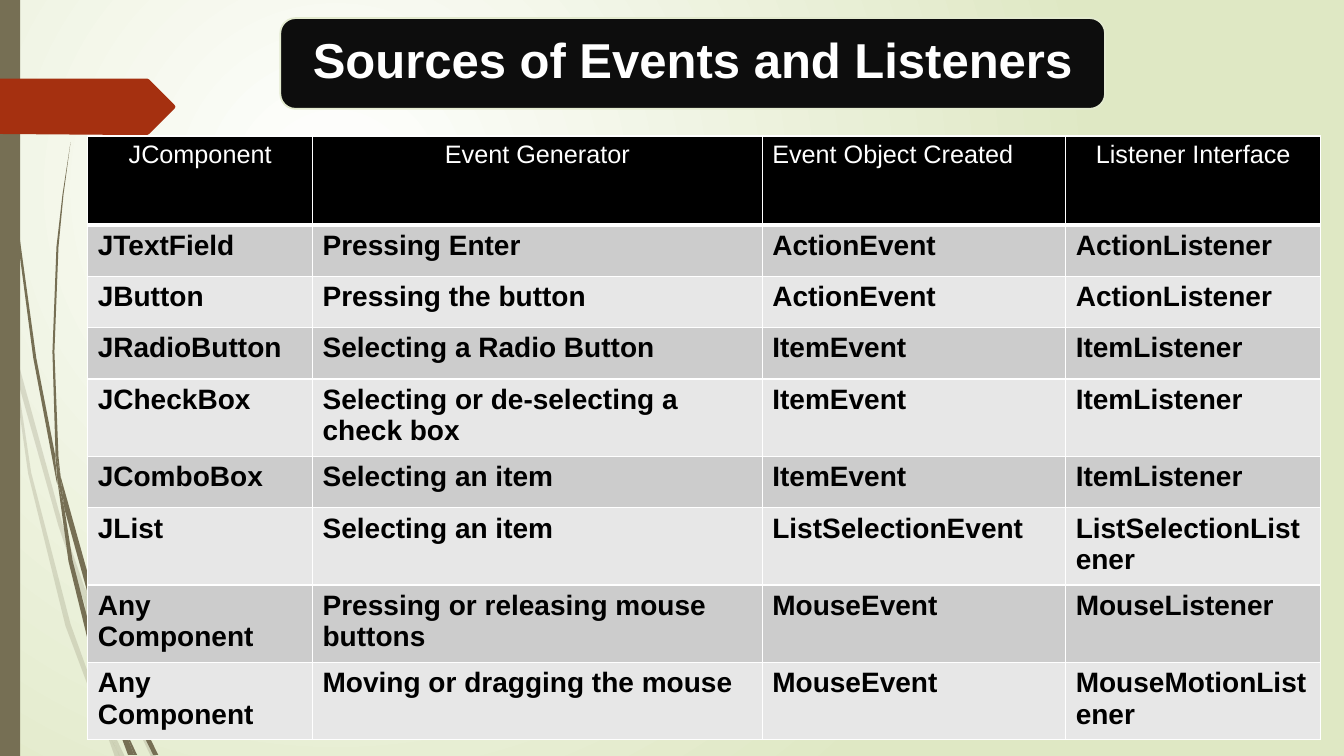
from lxml.etree import SubElement
from pptx import Presentation
from pptx.dml.color import RGBColor
from pptx.enum.shapes import MSO_SHAPE as SHAPE
from pptx.enum.text import MSO_ANCHOR as ANCHOR, PP_ALIGN as ALIGN
from pptx.oxml.ns import qn
from pptx.util import Inches, Pt

WHITE = RGBColor(0xFF, 0xFF, 0xFF)
BLACK = RGBColor(0x00, 0x00, 0x00)
PALE_GREEN = RGBColor(0xDF, 0xE8, 0xC4)
OLIVE = RGBColor(0x76, 0x6F, 0x54)
RUST = RGBColor(0xA5, 0x30, 0x10)
TITLE_FILL = RGBColor(0x0D, 0x0D, 0x0D)
TITLE_LINE = RGBColor(0xE3, 0xEA, 0xCF)
DARK_BAND = RGBColor(0xCC, 0xCC, 0xCC)
LIGHT_BAND = RGBColor(0xE7, 0xE7, 0xE7)

PALE_WISPS = [
    [(0.11, 3.5), (0.09, 3.22), (0, 2.82), (0, 2.99), (0.1, 3.44)],
    [(0.58, 5.22), (0.84, 5.99), (0.85, 5.86), (0.62, 5.2), (0.14, 3.45), (0.17, 3.76)],
    [(0.92, 6.07), (0.88, 5.96), (0.88, 6.1), (1.23, 6.94), (1.5, 7.51), (1.55, 7.51),
     (1.27, 6.92)],
    [(1.19, 7.51), (1.24, 7.51), (1.05, 7.11)],
    [(0.93, 6.83), (0.7, 6.19), (0.31, 4.69), (0.17, 3.76), (0.11, 3.5), (0.28, 4.7),
     (0.65, 6.21), (0.92, 6.93), (1.01, 7.14), (0.99, 7.07)],
    [(0.84, 5.99), (0.87, 6.46), (0.93, 6.83), (0.96, 6.92), (1.05, 7.11), (1.03, 7.06),
     (0.91, 6.46), (0.88, 6.1), (0.88, 6.08)],
    [(0.88, 5.84), (1.1, 4.62), (1.6, 3.49), (2.29, 2.45), (2.68, 1.98), (2.9, 1.75),
     (3.12, 1.54), (3.12, 1.53), (2.89, 1.75), (2.68, 1.97), (2.28, 2.44), (1.58, 3.48),
     (1.07, 4.61), (0.85, 5.84), (0.85, 5.86), (0.88, 5.96)],
    [(1.01, 7.14), (1.14, 7.51), (1.19, 7.51)],
    [(0.88, 6.08), (0.88, 6.1), (0.88, 5.96), (0.85, 5.86), (0.84, 5.99)],
    [(0.96, 6.92), (0.93, 6.83), (0.99, 7.07), (1.01, 7.14), (1.19, 7.51), (1.05, 7.11)],
]
DARK_WISPS = [
    [(0.07, 1.1), (0.17, 2.33), (0.33, 3.55), (0.56, 4.77), (0.57, 4.81), (0.55, 4.57),
     (0.55, 4.53), (0.36, 3.55), (0.19, 2.32), (0.08, 1.09), (0.05, 0.48), (0.04, 0),
     (0.03, 0), (0.04, 0.48)],
    [(0.88, 5.92), (1.06, 6.45), (1.06, 6.33), (1.06, 6.31), (0.93, 5.9), (0.6, 4.72),
     (0.64, 5.05)],
    [(1.13, 6.49), (1.1, 6.41), (1.11, 6.56), (1.32, 7.08), (1.52, 7.49), (1.57, 7.49),
     (1.36, 7.06)],
    [(1.1, 6.91), (0.98, 6.57), (0.72, 5.56), (0.64, 5.05), (0.57, 4.77), (0.68, 5.57),
     (0.93, 6.59), (1.11, 7.08), (1.17, 7.22), (1.16, 7.17)],
    [(0.6, 4.72), (0.58, 4.53), (0.54, 3.49), (0.58, 2.45), (0.63, 1.93), (0.7, 1.41),
     (0.62, 1.93), (0.56, 2.45), (0.52, 3.49), (0.55, 4.49)],
    [(1.33, 7.49), (1.36, 7.49), (1.22, 7.19)],
    [(0.57, 4.77), (0.64, 5.05), (0.6, 4.72), (0.55, 4.49), (0.55, 4.53)],
    [(1.17, 7.22), (1.27, 7.49), (1.31, 7.49)],
    [(1.06, 6.45), (1.1, 6.91), (1.16, 7.06), (1.22, 7.19), (1.21, 7.16), (1.11, 6.56),
     (1.09, 6.51)],
    [(1.16, 7.06), (1.1, 6.91), (1.16, 7.17), (1.17, 7.22), (1.3, 7.49), (1.33, 7.49),
     (1.22, 7.19)],
]
ARROW_TAB = [(0, 0.78), (1.46, 0.78), (1.48, 0.79), (1.73, 1.04), (1.74, 1.06), (1.73, 1.08),
             (1.48, 1.33), (1.46, 1.34), (1.36, 1.34), (0, 1.33)]

HEADERS = ["JComponent", "Event Generator", "Event Object Created", "Listener Interface"]
EVENTS = [
    ["JTextField", "Pressing Enter", "ActionEvent", "ActionListener"],
    ["JButton", "Pressing the button", "ActionEvent", "ActionListener"],
    ["JRadioButton", "Selecting a Radio Button", "ItemEvent", "ItemListener"],
    ["JCheckBox", "Selecting or de-selecting a check box", "ItemEvent", "ItemListener"],
    ["JComboBox", "Selecting an item", "ItemEvent", "ItemListener"],
    ["JList", "Selecting an item", "ListSelectionEvent", "ListSelectionListener"],
    ["Any Component", "Pressing or releasing mouse buttons", "MouseEvent", "MouseListener"],
    ["Any Component", "Moving or dragging the mouse", "MouseEvent", "MouseMotionListener"],
]


def write(tf, text, size, color, bold=False, align=ALIGN.LEFT, spacing=None, font="Arial"):
    p = tf.paragraphs[0]
    p.alignment = align
    p.line_spacing = spacing
    r = p.add_run()
    r.text = text
    r.font.name = font
    r.font.size = Pt(size)
    r.font.bold = bold
    r.font.color.rgb = color


class Deck:
    def __init__(self):
        self.prs = Presentation()
        self.prs.slide_width = Inches(13.33)
        self.prs.slide_height = Inches(7.5)
        self.s = self.prs.slides.add_slide(self.prs.slide_layouts[6])

    def background(self, inner, outer):
        fill = self.s.background.fill
        fill.gradient()
        for stop, color, position in zip(fill.gradient_stops, (inner, outer), (0, 1)):
            stop.color.rgb = color
            stop.position = position
        lin = next(self.s.element.iter(qn("a:lin")))
        grad = lin.getparent()
        grad.remove(lin)
        circle = SubElement(grad, qn("a:path"), {"path": "circle"})
        SubElement(circle, qn("a:fillToRect"),
                   {"l": "50000", "t": "50000", "r": "100000", "b": "100000"})

    def paint(self, sp, color, line=None, alpha=None):
        sp.shadow.inherit = False
        sp.fill.solid()
        sp.fill.fore_color.rgb = color
        if alpha:
            clr = sp.element.spPr.find(qn("a:solidFill"))[0]
            SubElement(clr, qn("a:alpha"), {"val": str(alpha * 1000)})
        if line:
            sp.line.color.rgb = line
            sp.line.width = Pt(1.25)
        else:
            sp.line.fill.background()

    def outline(self, points, color, alpha=None):
        start, *rest = [(Inches(x), Inches(y)) for x, y in points]
        builder = self.s.shapes.build_freeform(*start)
        builder.add_line_segments(rest, close=True)
        self.paint(builder.convert_to_shape(), color, alpha=alpha)

    def shape(self, kind, box, color, line=None):
        sp = self.s.shapes.add_shape(kind, *map(Inches, box))
        self.paint(sp, color, line)

    def text(self, text, box, inset, **style):
        tf = self.s.shapes.add_textbox(*map(Inches, box)).text_frame
        tf.word_wrap = True
        tf.vertical_anchor = ANCHOR.MIDDLE
        tf.margin_left = tf.margin_right = tf.margin_top = tf.margin_bottom = Inches(inset)
        write(tf, text, **style)

    def cell(self, cell, text, fill, bottom=1, **style):
        write(cell.text_frame, text, **style)
        tcPr = cell._tc.get_or_add_tcPr()
        for side, width in (("L", 1), ("R", 1), ("T", 1), ("B", bottom)):
            ln = SubElement(tcPr, qn(f"a:ln{side}"), {"w": str(Pt(width))})
            solid = SubElement(ln, qn("a:solidFill"))
            SubElement(solid, qn("a:srgbClr"), {"val": str(WHITE)})
        cell.fill.solid()
        cell.fill.fore_color.rgb = fill

    def table(self, box, widths, header_height, row_height):
        frame = self.s.shapes.add_table(len(EVENTS) + 1, len(HEADERS), *map(Inches, box))
        table = frame.table
        for column, width in zip(table.columns, widths):
            column.width = Inches(width)
        for i, row in enumerate(table.rows):
            row.height = Inches(row_height if i else header_height)
        for j, text in enumerate(HEADERS):
            align = ALIGN.LEFT if j == 2 else ALIGN.CENTER
            self.cell(table.cell(0, j), text, BLACK, bottom=3, size=18, color=WHITE, align=align)
        for i, event in enumerate(EVENTS, 1):
            band = DARK_BAND if i % 2 else LIGHT_BAND
            for j, text in enumerate(event):
                self.cell(table.cell(i, j), text, band, size=20, color=BLACK, bold=True)


def main():
    deck = Deck()
    deck.background(WHITE, PALE_GREEN)
    for wisp in PALE_WISPS:
        deck.outline(wisp, OLIVE, alpha=20)
    for wisp in DARK_WISPS:
        deck.outline(wisp, OLIVE)
    deck.shape(SHAPE.RECTANGLE, (0, 0, 0.2, 7.5), OLIVE)
    deck.outline(ARROW_TAB, RUST)
    deck.shape(SHAPE.ROUNDED_RECTANGLE, (2.78, 0.18, 8.18, 0.9), TITLE_FILL, TITLE_LINE)
    deck.text("Sources of Events and Listeners", (2.83, 0.22, 8.09, 0.81), 0.15,
              size=35, color=WHITE, bold=True, align=ALIGN.CENTER, spacing=0.9)
    deck.table((0.87, 1.35, 12.22, 5.97), (2.23, 4.46, 3.01, 2.53), 0.88, 0.51)
    deck.prs.save("out.pptx")


if __name__ == "__main__":
    main()
